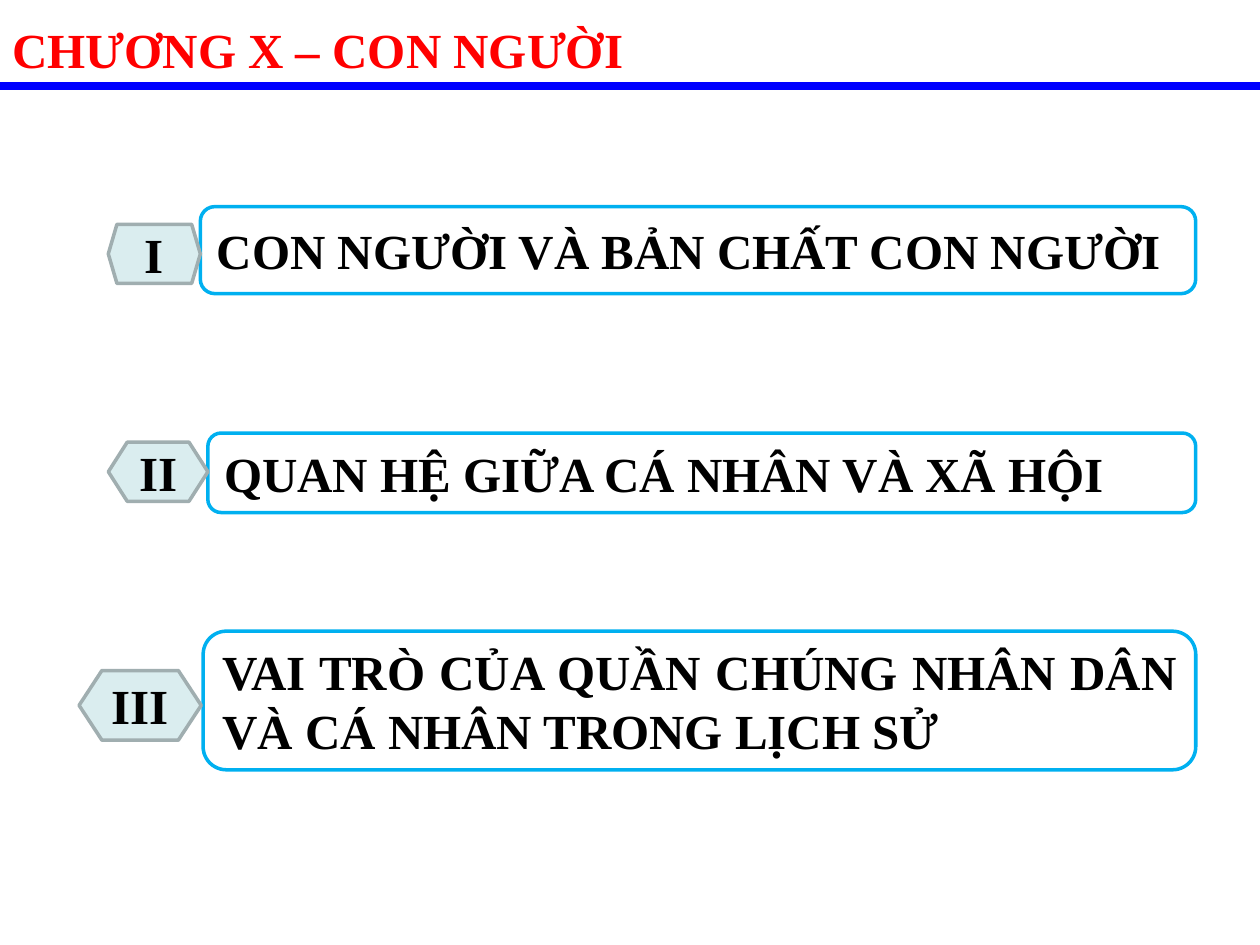
import pptx
import pptx.dml.color
import pptx.enum.shapes
import pptx.enum.text
import pptx.oxml
import pptx.util

Pt = pptx.util.Pt
RGBColor = pptx.dml.color.RGBColor
SHAPE = pptx.enum.shapes.MSO_SHAPE
ALIGN = pptx.enum.text.PP_ALIGN
ANCHOR = pptx.enum.text.MSO_ANCHOR

RED = RGBColor(0xFF, 0x00, 0x00)
BLUE = RGBColor(0x00, 0x00, 0xFF)
BLACK = RGBColor(0x00, 0x00, 0x00)
WHITE = RGBColor(0xFF, 0xFF, 0xFF)
SKY = RGBColor(0x00, 0xB0, 0xF0)
PALE_TEAL = RGBColor(0xDA, 0xED, 0xEF)
GREY = RGBColor(0xA0, 0xAE, 0xB0)

SLIDE_WIDTH, SLIDE_HEIGHT = 720, 540
HEADING_FONT = {"name": "Times New Roman", "size": Pt(28), "bold": True}

# Numeral, badge (left, top, width, height), badge corner, heading, heading box
SECTIONS = [
    ("I", (61.9, 128.2, 52.6, 33.8), 0.146,
     "CON NGƯỜI VÀ BẢN CHẤT CON NGƯỜI", (114.5, 118.1, 568.8, 49.7)),
    ("II", (61.9, 252.7, 56.9, 33.8), 0.319,
     "QUAN HỆ GIỮA CÁ NHÂN VÀ XÃ HỘI", (118.8, 247.5, 564.5, 45.4)),
    ("III", (45.2, 383.2, 69.8, 39.8), 0.328,
     "VAI TRÒ CỦA QUẦN CHÚNG NHÂN DÂN VÀ CÁ NHÂN TRONG LỊCH SỬ",
     (116.1, 360.7, 567.2, 79.2)),
]


def write_heading(frame, text, color, alignment):
    paragraph = frame.paragraphs[0]
    paragraph.alignment = alignment
    run = paragraph.add_run()
    run.text = text
    for attribute, value in HEADING_FONT.items():
        setattr(run.font, attribute, value)
    run.font.color.rgb = color
    return paragraph


def add_title(slide, text):
    title = slide.shapes.add_textbox(Pt(0), Pt(0.7), Pt(SLIDE_WIDTH), Pt(47.5))
    title.text_frame.word_wrap = True
    title.text_frame.auto_size = pptx.enum.text.MSO_AUTO_SIZE.SHAPE_TO_FIT_TEXT
    write_heading(title.text_frame, text, RED, ALIGN.JUSTIFY).line_spacing = 1.2


def add_title_rule(slide, y):
    rule = slide.shapes.add_connector(
        pptx.enum.shapes.MSO_CONNECTOR.STRAIGHT, Pt(0), Pt(y), Pt(SLIDE_WIDTH), Pt(y))
    rule.line.color.rgb = BLUE
    rule.line.width = Pt(4.5)
    rule._element.spPr.append(pptx.oxml.parse_xml(
        '<a:effectLst xmlns:a="http://schemas.openxmlformats.org/drawingml/2006/main"/>'))


def add_panel(group, preset, bounds, corner, fill, outline, text, alignment, wrap):
    panel = group.shapes.add_shape(preset, *map(Pt, bounds))
    panel.adjustments[0] = corner
    panel.shadow.inherit = False
    panel.fill.solid()
    panel.fill.fore_color.rgb = fill
    panel.line.color.rgb = outline
    panel.line.width = Pt(2)
    panel.text_frame.word_wrap = wrap
    panel.text_frame.vertical_anchor = ANCHOR.MIDDLE
    write_heading(panel.text_frame, text, BLACK, alignment)


def add_section(slide, numeral, badge, badge_corner, heading, box):
    group = slide.shapes.add_group_shape()
    add_panel(group, SHAPE.ROUNDED_RECTANGLE, box, 0.167, WHITE, SKY,
              heading, ALIGN.JUSTIFY, True)
    add_panel(group, SHAPE.HEXAGON, badge, badge_corner, PALE_TEAL, GREY,
              numeral, ALIGN.CENTER, False)


def main():
    deck = pptx.Presentation()
    deck.slide_width, deck.slide_height = Pt(SLIDE_WIDTH), Pt(SLIDE_HEIGHT)
    slide = deck.slides.add_slide(deck.slide_layouts[6])

    # Chapter title and its rule
    add_title_rule(slide, 49)
    add_title(slide, "CHƯƠNG X – CON NGƯỜI")

    # Numbered sections
    for section in SECTIONS:
        add_section(slide, *section)

    deck.save("out.pptx")


if __name__ == "__main__":
    main()
